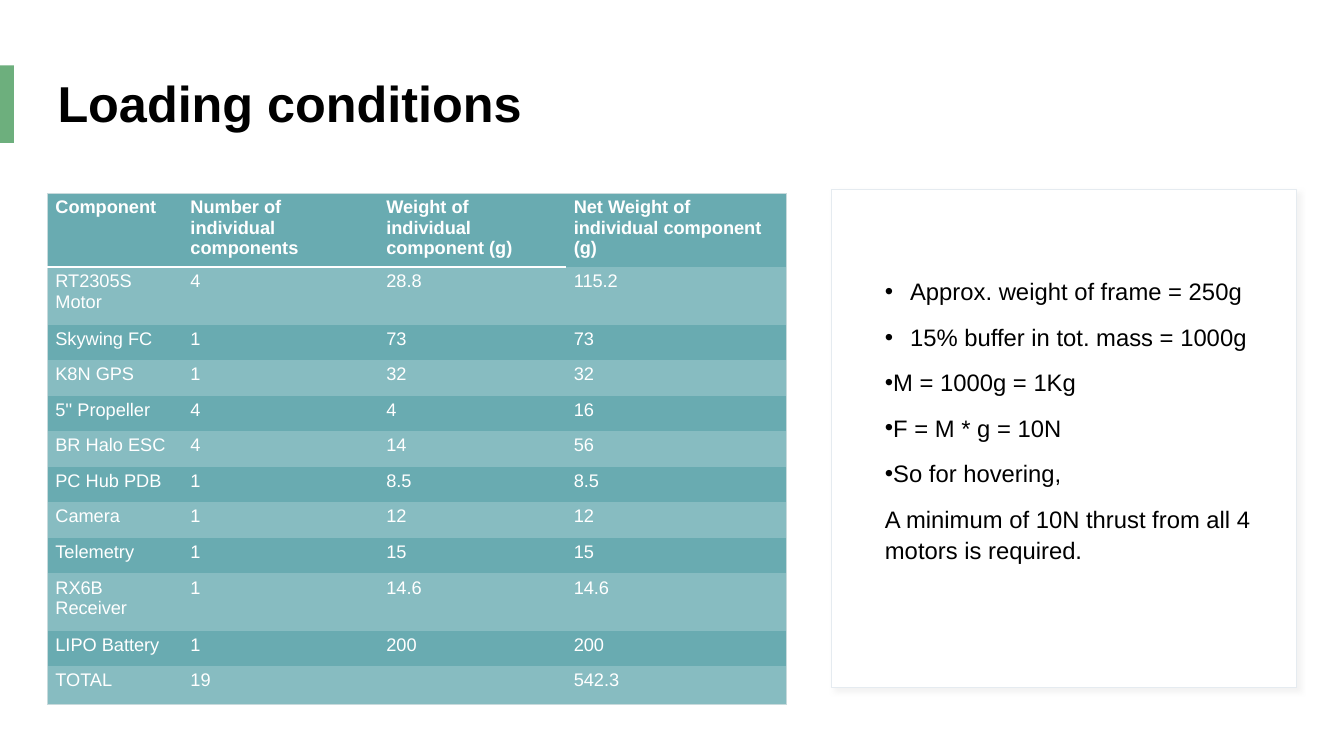
from dataclasses import dataclass
from lxml.etree import SubElement
from pptx import Presentation
from pptx.dml.color import RGBColor
from pptx.enum.shapes import MSO_SHAPE
from pptx.enum.text import MSO_ANCHOR
from pptx.oxml.ns import qn
from pptx.util import Pt


@dataclass(frozen=True)
class Theme:
    font: str = "Arial"
    ink: str = "000000"
    paper: str = "FFFFFF"
    green: str = "6DAF7D"
    teal: str = "69ABB1"
    pale: str = "87BCC1"
    edge: str = "C8DADC"
    frame: str = "E5EBF0"
    shade: str = "D9D9D9"
    title: int = 36
    body: int = 17
    cell: int = 13


LOOK = Theme()

ROWS = [
    ("Component", "Number of individual components",
     "Weight of individual component (g)", "Net Weight of individual component (g)"),
    ("RT2305S Motor", "4", "28.8", "115.2"),
    ("Skywing FC", "1", "73", "73"),
    ("K8N GPS", "1", "32", "32"),
    ("5'' Propeller", "4", "4", "16"),
    ("BR Halo ESC", "4", "14", "56"),
    ("PC Hub PDB", "1", "8.5", "8.5"),
    ("Camera", "1", "12", "12"),
    ("Telemetry", "1", "15", "15"),
    ("RX6B Receiver", "1", "14.6", "14.6"),
    ("LIPO Battery", "1", "200", "200"),
    ("TOTAL", "19", "", "542.3"),
]
WIDTHS = (96.5, 139.9, 133.9, 157.5)
TALL = (0, 1, 9)

# Text, left margin and whether the line has a bullet
NOTES = [
    ("Approx. weight of frame = 250g", 18, True),
    ("15% buffer in tot. mass = 1000g", 18, True),
    ("M = 1000g = 1Kg", 0, True),
    ("F = M * g = 10N", 0, True),
    ("So for hovering,", 0, True),
    ("A minimum of 10N thrust from all 4 motors is required.", 0, False),
]


def add_run(para, text, size, color, bold=False):
    run = para.add_run()
    run.text = text
    font = run.font
    font.name, font.size, font.bold = LOOK.font, Pt(size), bold
    font.color.rgb = RGBColor.from_string(color)


def add_rect(slide, box, fill, line=None):
    rect = slide.shapes.add_shape(MSO_SHAPE.RECTANGLE, *map(Pt, box))
    rect.shadow.inherit = False
    rect.fill.solid()
    rect.fill.fore_color.rgb = RGBColor.from_string(fill)
    if line:
        rect.line.color.rgb = RGBColor.from_string(line)
        rect.line.width = Pt(0.75)
    else:
        rect.line.fill.background()
    return rect


def add_text(slide, box):
    frame = slide.shapes.add_textbox(*map(Pt, box)).text_frame
    frame.word_wrap = True
    frame.vertical_anchor = MSO_ANCHOR.MIDDLE
    return frame


def add_shade(shape):
    """Give the shape a soft shadow to the lower right."""
    effects = shape._element.spPr.find(qn("a:effectLst"))
    outer = SubElement(effects, qn("a:outerShdw"), blurRad=str(Pt(4)),
                       dist=str(Pt(3)), dir="2700000", rotWithShape="0")
    color = SubElement(outer, qn("a:srgbClr"), val=LOOK.shade)
    SubElement(color, qn("a:alpha"), val="30000")


def add_title(slide, box):
    x, y, w, h = box
    frame = add_text(slide, (x + 34, y, w - 34, h))
    para = frame.paragraphs[0]
    para.line_spacing = 0.9
    add_run(para, "Loading conditions", LOOK.title, LOOK.ink, True)
    add_rect(slide, (x, y + 14.4, 10, 55.4), LOOK.green)


def add_notes(slide, box):
    x, y, w, h = box
    add_shade(add_rect(slide, box, LOOK.paper, LOOK.frame))
    frame = add_text(slide, (x + 31, y + 24, w - 41, h - 44))
    frame.margin_bottom = Pt(35)
    for i, (text, left, bullet) in enumerate(NOTES):
        para = frame.add_paragraph() if i else frame.paragraphs[0]
        para.line_spacing = 1.1
        para.space_before = Pt(10)
        if bullet:
            props = para._p.get_or_add_pPr()
            props.set("marL", str(Pt(left)))
            props.set("indent", str(Pt(-18)))
            SubElement(props, qn("a:buFont"), typeface=LOOK.font)
            SubElement(props, qn("a:buChar"), char="•")
        add_run(para, text, LOOK.body, LOOK.ink)


def add_border(cell, side, rule):
    props = cell._tc.get_or_add_tcPr()
    color, width = rule or (None, 0)
    line = SubElement(props, qn("a:ln" + side), w=str(Pt(width)))
    if color:
        fill = SubElement(line, qn("a:solidFill"))
        SubElement(fill, qn("a:srgbClr"), val=color)
    else:
        SubElement(line, qn("a:noFill"))


def get_rule(place, last):
    return (LOOK.edge, 0.5) if place in (0, last) else None


def get_level(row, col):
    """Rule above the given row; the header rule stops before the last column."""
    if row == 1 and col < len(WIDTHS) - 1:
        return LOOK.paper, 1.5
    return get_rule(row, len(ROWS))


def add_parts(slide, box):
    """Table of components and their weights."""
    grid = slide.shapes.add_table(len(ROWS), len(WIDTHS), *map(Pt, box)).table
    for col, width in zip(grid.columns, WIDTHS):
        col.width = Pt(width)
    for r, texts in enumerate(ROWS):
        grid.rows[r].height = Pt(41 if r in TALL else 25.4)
        for c, text in enumerate(texts):
            cell = grid.cell(r, c)
            cell.margin_left = cell.margin_right = Pt(5.8)
            cell.margin_top = cell.margin_bottom = Pt(2.9)
            add_border(cell, "L", get_rule(c, len(WIDTHS)))
            add_border(cell, "R", get_rule(c + 1, len(WIDTHS)))
            add_border(cell, "T", get_level(r, c))
            add_border(cell, "B", get_level(r + 1, c))
            cell.fill.solid()
            shade = LOOK.pale if r % 2 else LOOK.teal
            cell.fill.fore_color.rgb = RGBColor.from_string(shade)
            if text:
                add_run(cell.text_frame.paragraphs[0], text, LOOK.cell,
                        LOOK.paper, r == 0)


def main():
    deck = Presentation()
    deck.slide_width, deck.slide_height = Pt(960), Pt(540)
    slide = deck.slides.add_slide(deck.slide_layouts[6])
    add_title(slide, (0, 32.4, 916, 87))
    add_notes(slide, (594, 135.4, 332, 355.6))
    add_parts(slide, (33.8, 138.2, sum(WIDTHS), 351.6))
    deck.save("out.pptx")


if __name__ == "__main__":
    main()
